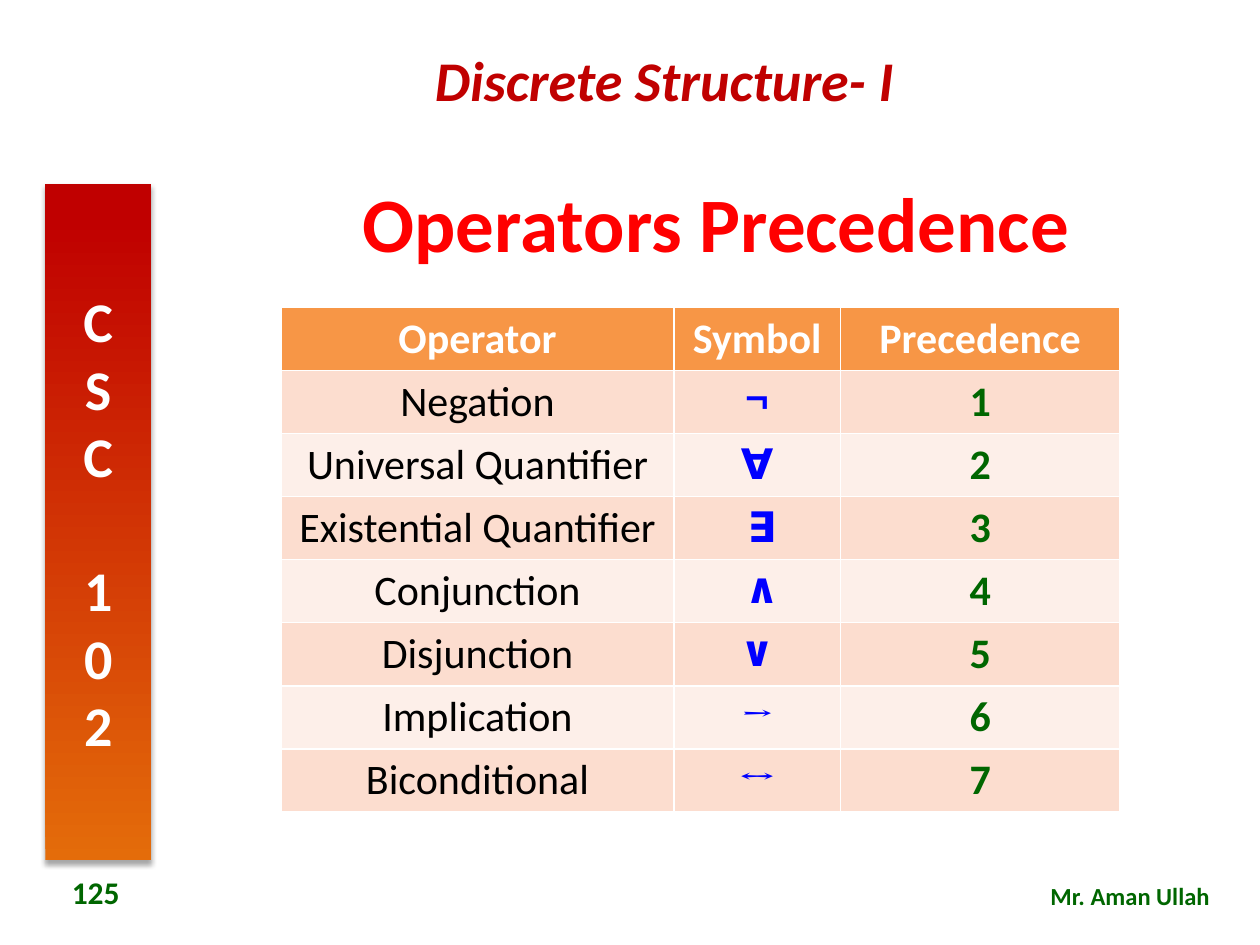
from lxml import etree
from pptx import Presentation
from pptx.dml.color import RGBColor
from pptx.enum.shapes import MSO_SHAPE
from pptx.enum.text import MSO_ANCHOR, PP_ALIGN
from pptx.oxml import parse_xml
from pptx.oxml.ns import nsdecls
from pptx.util import Inches, Pt

WHITE = RGBColor(0xFF, 0xFF, 0xFF)
BLACK = RGBColor(0, 0, 0)
RED = RGBColor(0xFF, 0, 0)
DARK_RED = RGBColor(0xC0, 0, 0)
GREEN = RGBColor(0, 0x66, 0)
BLUE = RGBColor(0, 0, 0xFF)
ORANGE = RGBColor(0xF7, 0x96, 0x46)
DEEP_ORANGE = RGBColor(0xE4, 0x6C, 0x0A)
BANDS = RGBColor(0xFC, 0xDD, 0xCF), RGBColor(0xFD, 0xEF, 0xE9)

HEADINGS = "Operator", "Symbol", "Precedence"
OPERATORS = [
    ("Negation", "¬"),
    ("Universal Quantifier", "∀"),
    ("Existential Quantifier", " ∃"),
    ("Conjunction", " ∧"),
    ("Disjunction", "∨"),
    ("Implication", "→"),
    ("Biconditional", "↔"),
]
COLUMN_WIDTHS = 3.12, 1.32, 2.22
ROW_HEIGHT = 0.5

SHADOW = (
    f'<a:outerShdw {nsdecls("a")} blurRad="{Pt(3.1)}" dist="{Pt(1.8)}" '
    'dir="5400000" rotWithShape="0"><a:srgbClr val="000000">'
    '<a:alpha val="35000"/></a:srgbClr></a:outerShdw>'
)


def write(frame, text, size, color, bold=True, italic=False,
          align=PP_ALIGN.CENTER, name="Calibri"):
    """Fill a text frame with one uniformly formatted paragraph."""
    frame.text = text
    paragraph = frame.paragraphs[0]
    paragraph.alignment = align
    font = paragraph.font
    font.name, font.size, font.color.rgb = name, Pt(size), color
    font.bold, font.italic = bold, italic
    return paragraph


def add_label(slide, box, text, size, color, anchor=MSO_ANCHOR.TOP, **style):
    frame = slide.shapes.add_textbox(*map(Inches, box)).text_frame
    frame.word_wrap = True
    frame.vertical_anchor = anchor
    write(frame, text, size, color, **style)


def add_course_bar(slide):
    bar = slide.shapes.add_shape(
        MSO_SHAPE.RECTANGLE, *map(Inches, (0.36, 1.46, 0.84, 5.37)))
    bar.line.fill.background()
    # Orange at the bottom rising to red
    bar.fill.gradient()
    bar.fill.gradient_angle = 90
    stops = zip(bar.fill.gradient_stops, (0, 0.95), (DEEP_ORANGE, DARK_RED))
    for stop, position, color in stops:
        stop.position, stop.color.rgb = position, color
    # Soft shadow below
    bar.shadow.inherit = False
    effects = bar._element.spPr.find("a:effectLst", bar._element.nsmap)
    effects.append(parse_xml(SHADOW))
    # Upright stacked letters
    write(bar.text_frame, "CSC 102", 32, WHITE)
    bar._element.txBody.bodyPr.set("vert", "wordArtVert")


def set_cell(cell, text, color, fill, **style):
    cell.fill.solid()
    cell.fill.fore_color.rgb = fill
    write(cell.text_frame, text, 24, color, **style)


def add_precedence_table(slide):
    rows = len(OPERATORS) + 1
    table = slide.shapes.add_table(
        rows, len(HEADINGS), Inches(2.23), Inches(2.44),
        Inches(sum(COLUMN_WIDTHS)), Inches(rows * ROW_HEIGHT)).table
    for column, width in zip(table.columns, COLUMN_WIDTHS):
        column.width = Inches(width)

    # The default table style supplies the white rules
    for index, heading in enumerate(HEADINGS):
        set_cell(table.cell(0, index), heading, WHITE, ORANGE)
    for rank, (operator, symbol) in enumerate(OPERATORS, start=1):
        band = BANDS[(rank - 1) % 2]
        symbol_font = "Calibri" if symbol.strip() in "∀∃" else "Cambria"
        set_cell(table.cell(rank, 0), operator, BLACK, band, bold=False)
        set_cell(table.cell(rank, 1), symbol, BLUE, band, name=symbol_font)
        set_cell(table.cell(rank, 2), str(rank), GREEN, band)


def add_title(slide):
    title = slide.shapes.title
    title.left, title.top, title.width, title.height = map(
        Inches, (1.49, 1.36, 8.39, 0.89))
    title.text_frame.vertical_anchor = MSO_ANCHOR.MIDDLE
    write(title.text_frame, "Operators Precedence", 44, RED).line_spacing = 0.9


def main():
    deck = Presentation()
    deck.slide_width, deck.slide_height = Inches(10), Inches(7.5)
    slide = deck.slides.add_slide(deck.slide_layouts[5])

    # Course frame
    add_label(slide, (2.11, 0.31, 6.33, 0.64), "Discrete Structure- I",
              32, DARK_RED, italic=True)
    add_course_bar(slide)
    add_label(slide, (6.8, 6.94, 2.9, 0.34), "Mr. Aman Ullah",
              14, GREEN, align=PP_ALIGN.RIGHT)
    add_label(slide, (0.24, 6.88, 1.04, 0.4), "125",
              18, GREEN, anchor=MSO_ANCHOR.MIDDLE)

    # Content
    add_title(slide)
    add_precedence_table(slide)
    deck.save("out.pptx")


if __name__ == "__main__":
    main()
